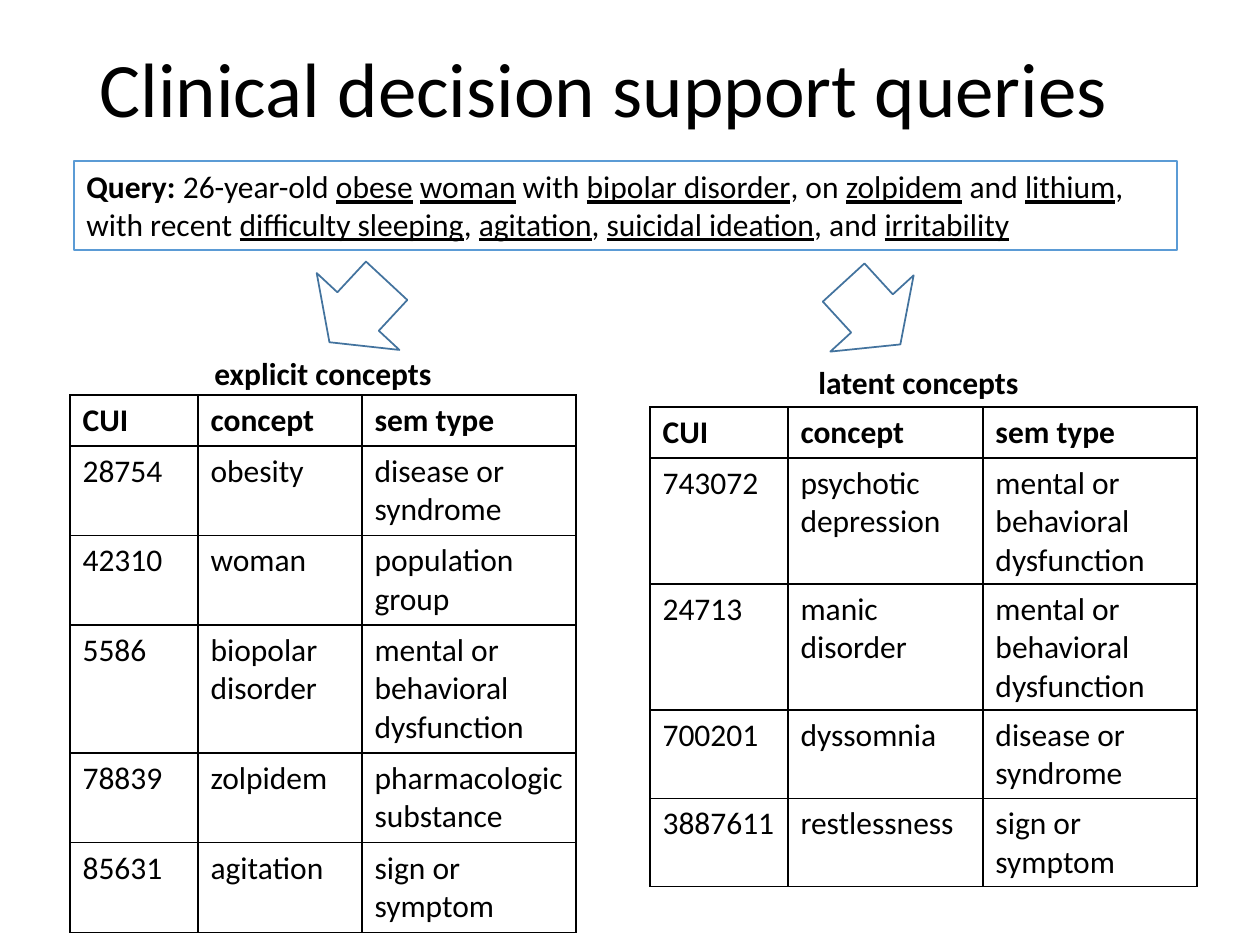
from lxml.etree import SubElement
from pptx import Presentation
from pptx.dml.color import RGBColor
from pptx.enum.shapes import MSO_SHAPE
from pptx.enum.text import MSO_ANCHOR, PP_ALIGN
from pptx.oxml.ns import qn
from pptx.util import Pt

THEME = {
    "font": "Calibri", "title": Pt(44), "body": Pt(18),
    "ink": "000000", "frame": "5B9BD5", "arrow": "43739E",
    "frame_width": Pt(0.75), "arrow_width": Pt(1), "border_width": Pt(1),
}
TITLE = "Clinical decision support queries"
TITLE_BOX = (87, 1, 1086, 183)
QUERY_LABEL = "Query:"
QUERY = (" 26-year-old _obese_ _woman_ with _bipolar disorder_, on _zolpidem_ and _lithium_, "
         "with recent _difficulty sleeping_, _agitation_, _suicidal ideation_, and _irritability_")
QUERY_BOX = (74, 161, 1103, 89)
HEADER = ("CUI", "concept", "sem type")
ROW_HEIGHT = 51
PANELS = [
    {
        "caption": "explicit concepts", "caption_box": (202, 348, 282, 50),
        "arrow_box": (316, 255, 84, 113), "turn": 132.9,
        "origin": (70, 395), "columns": (128, 164, 214),
        "concepts": [
            ("28754", "obesity", "disease or syndrome"),
            ("42310", "woman", "population group"),
            ("5586", "biopolar disorder", "mental or behavioral dysfunction"),
            ("78839", "zolpidem", "pharmacologic substance"),
            ("85631", "agitation", "sign or symptom"),
        ],
    },
    {
        "caption": "latent concepts", "caption_box": (806, 357, 282, 50),
        "arrow_box": (830, 257, 84, 113), "turn": 47.5,
        "origin": (650, 407), "columns": (138, 195, 214),
        "concepts": [
            ("743072", "psychotic depression", "mental or behavioral dysfunction"),
            ("24713", "manic disorder", "mental or behavioral dysfunction"),
            ("700201", "dyssomnia", "disease or syndrome"),
            ("3887611", "restlessness", "sign or symptom"),
        ],
    },
]


def px(pixels):
    return round(pixels * 914400 / 126)


def box(pixels):
    return [px(length) for length in pixels]


def write(paragraph, words, **styles):
    run = paragraph.add_run()
    run.text = words
    formats = {"name": THEME["font"], "size": THEME["body"], **styles}
    for attribute, value in formats.items():
        setattr(run.font, attribute, value)
    run.font.color.rgb = RGBColor.from_string(THEME["ink"])


def add_outline(kind, place, color, width):
    outline = slide.shapes.add_shape(kind, *box(place))
    outline.shadow.inherit = False
    outline.fill.background()
    outline.line.color.rgb = RGBColor.from_string(color)
    outline.line.width = width
    return outline


def add_borders(cell):
    properties = cell._tc.get_or_add_tcPr()
    for side in ("a:lnL", "a:lnR", "a:lnT", "a:lnB"):
        border = SubElement(properties, qn(side), w=str(THEME["border_width"]))
        fill = SubElement(border, qn("a:solidFill"))
        SubElement(fill, qn("a:srgbClr"), val=THEME["ink"])


def add_concepts(panel):
    rows = [HEADER, *panel["concepts"]]
    size = (sum(panel["columns"]), ROW_HEIGHT * len(rows))
    concepts = slide.shapes.add_table(
        len(rows), len(HEADER), *box(panel["origin"] + size)).table
    concepts.first_row = concepts.horz_banding = False
    for column, width in zip(concepts.columns, panel["columns"]):
        column.width = px(width)
    for r, row in enumerate(rows):
        concepts.rows[r].height = px(ROW_HEIGHT)
        for c, words in enumerate(row):
            cell = concepts.cell(r, c)
            add_borders(cell)
            cell.fill.background()
            write(cell.text_frame.paragraphs[0], words, bold=r == 0)


deck = Presentation()
deck.slide_width, deck.slide_height = px(1260), px(945)
slide = deck.slides.add_slide(deck.slide_layouts[5])

title = slide.shapes.title
title.left, title.top, title.width, title.height = box(TITLE_BOX)
title.text_frame.vertical_anchor = MSO_ANCHOR.MIDDLE
heading = title.text_frame.paragraphs[0]
heading.alignment, heading.line_spacing = PP_ALIGN.LEFT, 0.9
write(heading, TITLE, size=THEME["title"])

query = add_outline(MSO_SHAPE.RECTANGLE, QUERY_BOX, THEME["frame"], THEME["frame_width"])
query.text_frame.word_wrap = True
query.text_frame.vertical_anchor = MSO_ANCHOR.TOP
sentence = query.text_frame.paragraphs[0]
sentence.alignment = PP_ALIGN.LEFT
write(sentence, QUERY_LABEL, bold=True)
for index, words in enumerate(QUERY.split("_")):
    if words:
        write(sentence, words, underline=index % 2 == 1)

for panel in PANELS:
    arrow = add_outline(MSO_SHAPE.RIGHT_ARROW, panel["arrow_box"],
                        THEME["arrow"], THEME["arrow_width"])
    arrow.rotation = panel["turn"]
    add_concepts(panel)
    caption = slide.shapes.add_textbox(*box(panel["caption_box"])).text_frame
    caption.word_wrap = True
    write(caption.paragraphs[0], panel["caption"], bold=True)

deck.save("out.pptx")
